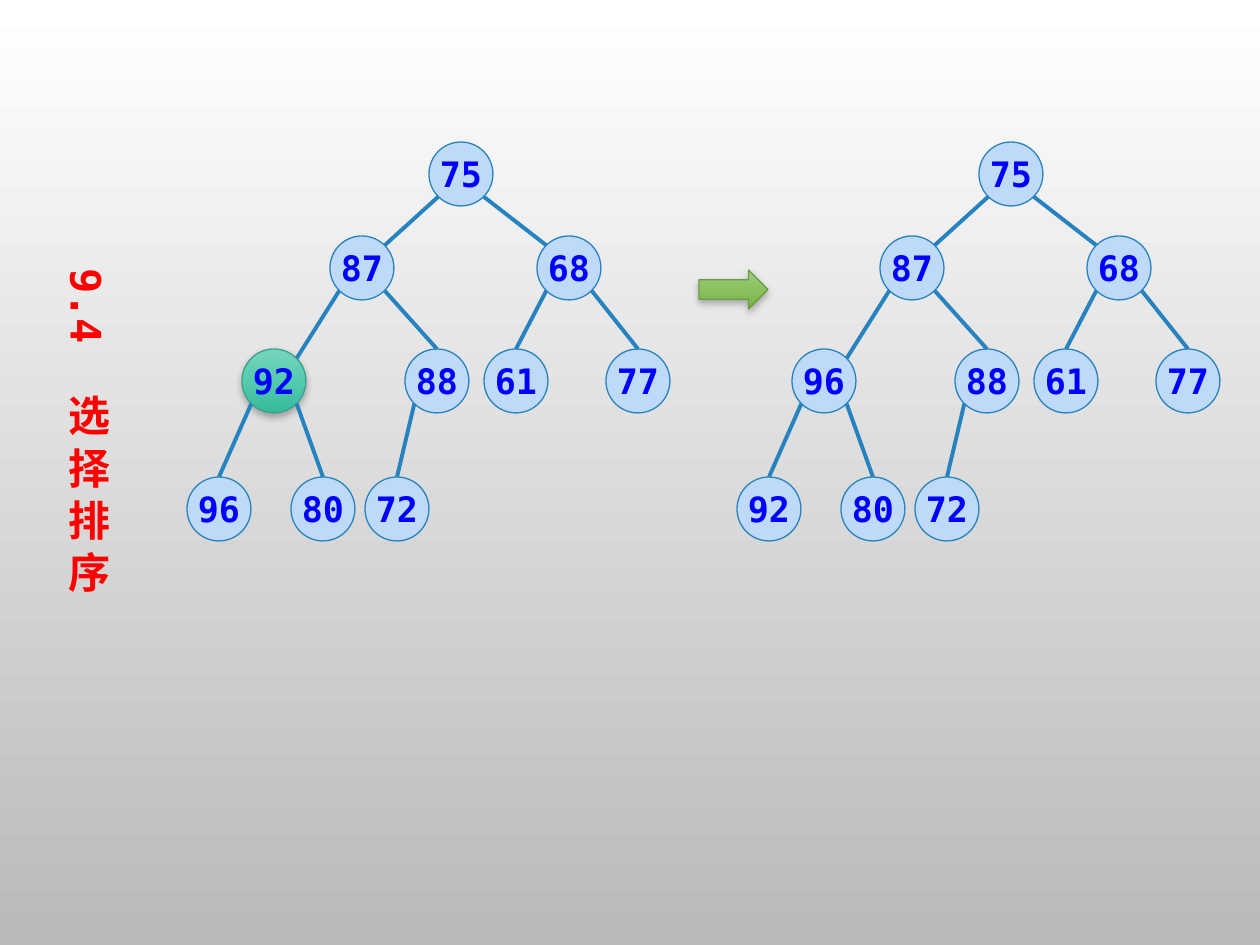
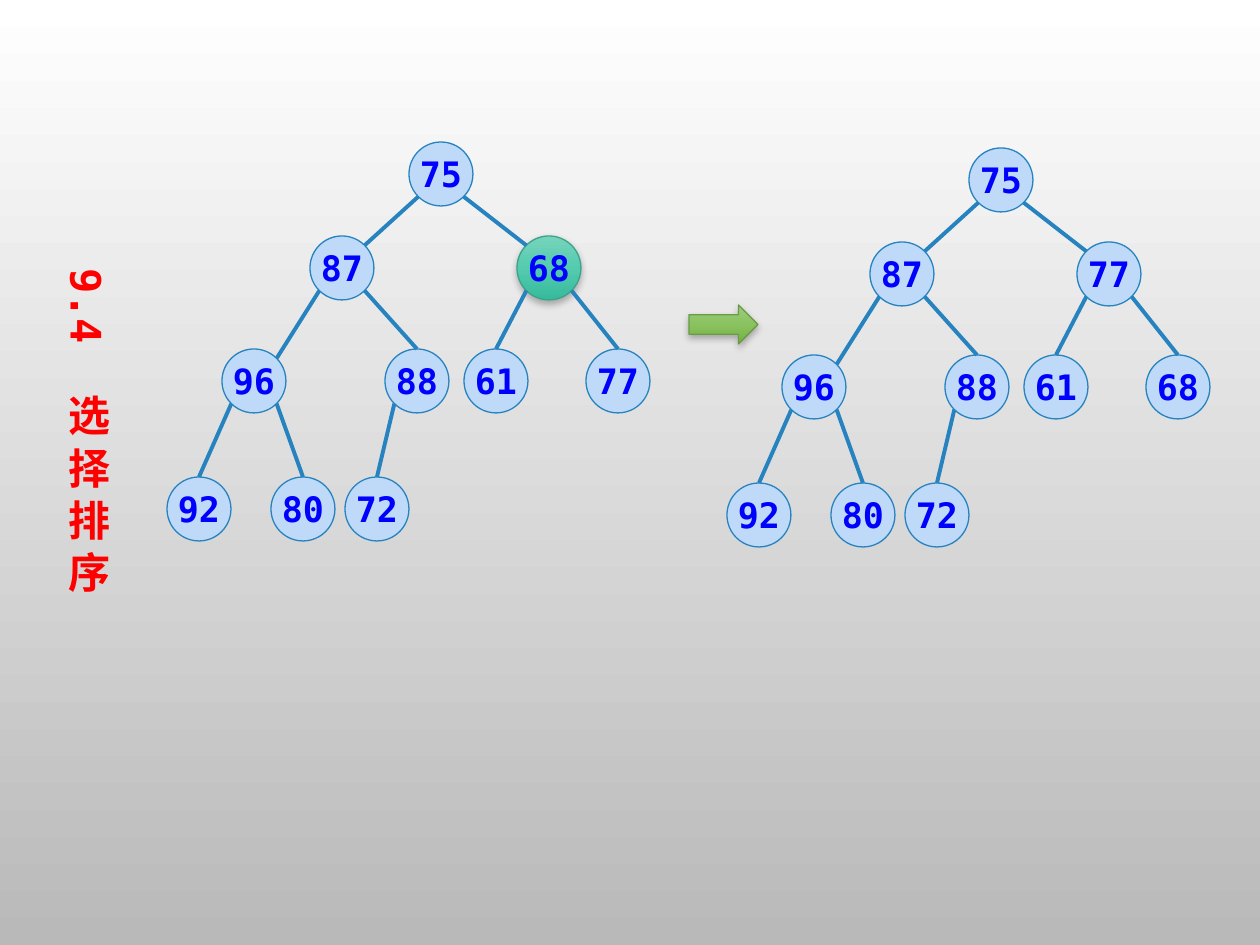
from math import sqrt

from lxml import etree
from pptx import Presentation
from pptx.dml.color import RGBColor
from pptx.enum.shapes import MSO_CONNECTOR, MSO_SHAPE
from pptx.enum.text import MSO_ANCHOR, MSO_AUTO_SIZE, PP_ALIGN
from pptx.oxml.ns import qn
from pptx.util import Emu, Pt

ELLIPSE = MSO_SHAPE.OVAL
ARROW = MSO_SHAPE.RIGHT_ARROW
STRAIGHT = MSO_CONNECTOR.STRAIGHT
MIDDLE = MSO_ANCHOR.MIDDLE
CENTER = PP_ALIGN.CENTER
GROW = MSO_AUTO_SIZE.SHAPE_TO_FIT_TEXT

EMU_PER_PX = 914400 / 126
FONT = "DejaVu Sans Mono"
TITLE = "9.4  选 择 排 序"
BACKGROUND = ((0, "FFFFFF"), (100, "B9B9B9"))
GREEN = ((0, "9ECC7E"), (50, "8AC25F"), (100, "73B142"))
TEAL = ((0, "77D4BC"), (50, "54CBAF"), (100, "36BA9C"))
BLUE = "2683BF"

NODE = 64
RADIUS = NODE / 2
DIAGONAL = RADIUS / sqrt(2)
TOP, UPPER_LEFT, UPPER_RIGHT = (0, -RADIUS), (-DIAGONAL, -DIAGONAL), (DIAGONAL, -DIAGONAL)
LOWER_LEFT, LOWER_RIGHT = (-DIAGONAL, DIAGONAL), (DIAGONAL, DIAGONAL)

NODE_PLACES = [
    (242, 0),
    (143, 94), (350, 94),
    (55, 207), (218, 207), (297, 207), (419, 207),
    (0, 335), (104, 335), (178, 335),
]
UPPER_SITES = {1: UPPER_RIGHT, 2: UPPER_LEFT, 3: UPPER_RIGHT}

SLIDES = [
    {
        "before": ((187, 142), (75, 87, 68, 92, 88, 61, 77, 96, 80, 72), 3),
        "arrow": (699, 270),
        "after": ((737, 142), (75, 87, 68, 96, 88, 61, 77, 92, 80, 72), None),
    },
    {
        "before": ((167, 142), (75, 87, 68, 96, 88, 61, 77, 92, 80, 72), 2),
        "arrow": (689, 305),
        "after": ((727, 148), (75, 87, 77, 96, 88, 61, 68, 92, 80, 72), None),
    },
]


def px(length):
    return Emu(round(length * EMU_PER_PX))


def color(value):
    return RGBColor.from_string(value)


class TreeDeck:
    def __init__(self):
        self.deck = Presentation()
        self.deck.slide_width, self.deck.slide_height = px(1260), px(945)
        self.page = None

    def new_page(self):
        self.page = self.deck.slides.add_slide(self.deck.slide_layouts[6])
        self.gradient(self.page.background.fill, self.page.element, BACKGROUND)

    def gradient(self, fill, element, stops):
        fill.gradient()
        fill.gradient_angle = 270
        stop_list = element.find(".//" + qn("a:gsLst"))
        for stop in list(stop_list):
            stop_list.remove(stop)
        for position, value in stops:
            stop = etree.SubElement(stop_list, qn("a:gs"), pos=str(position * 1000))
            etree.SubElement(stop, qn("a:srgbClr"), val=value)

    def shadow(self, shape):
        effects = shape._element.spPr.find(qn("a:effectLst"))
        shadow = etree.SubElement(effects, qn("a:outerShdw"), blurRad=str(Pt(4)),
                                  dist=str(Pt(2)), dir="5400000", rotWithShape="0")
        tint = etree.SubElement(shadow, qn("a:srgbClr"), val="000000")
        etree.SubElement(tint, qn("a:alpha"), val="28000")

    def shape(self, shapes, kind, place, size, line, fill=None, stops=None):
        shape = shapes.add_shape(kind, *map(px, place + size))
        shape.shadow.inherit = False
        if stops:
            self.gradient(shape.fill, shape._element, stops)
            self.shadow(shape)
        else:
            shape.fill.solid()
            shape.fill.fore_color.rgb = color(fill)
        shape.line.color.rgb = color(line)
        shape.line.width = Pt(0.75)
        return shape

    def text(self, frame, words, size, value):
        para = frame.paragraphs[0]
        para.alignment = CENTER
        span = para.add_run()
        span.text = words
        span.font.name = FONT
        span.font.size = Pt(size)
        span.font.bold = True
        span.font.color.rgb = color(value)
        return para

    def node(self, shapes, place, key, active):
        if active:
            node = self.shape(shapes, ELLIPSE, place, (NODE, NODE), "3CA28B", stops=TEAL)
        else:
            node = self.shape(shapes, ELLIPSE, place, (NODE, NODE), BLUE, fill="BFDAF9")
        frame = node.text_frame
        frame.margin_left = frame.margin_right = 0
        frame.vertical_anchor = MIDDLE
        self.text(frame, str(key), 20, "0000FF")
        return node

    def edge(self, shapes, start, end, child=None):
        edge = shapes.add_connector(STRAIGHT, *map(px, start + end))
        if child is not None:
            edge.end_connect(child, 0)
        edge.line.color.rgb = color(BLUE)
        edge.line.width = Pt(2.25)
        etree.SubElement(edge._element.spPr, qn("a:effectLst"))

    def tree(self, origin, keys, active):
        shapes = self.page.shapes.add_group_shape().shapes
        places = [(origin[0] + x, origin[1] + y) for x, y in NODE_PLACES]
        nodes = [self.node(shapes, place, key, index == active)
                 for index, (place, key) in enumerate(zip(places, keys))]

        def site(index, offset):
            return tuple(side + RADIUS + shift for side, shift in zip(places[index], offset))

        for child in range(1, len(nodes)):
            start = site((child - 1) // 2, LOWER_LEFT if child % 2 else LOWER_RIGHT)
            end = site(child, UPPER_SITES.get(child, TOP))
            self.edge(shapes, start, end, None if child in UPPER_SITES else nodes[child])

    def arrow(self, place):
        self.shape(self.page.shapes, ARROW, place, (69, 39), "6B9B46", stops=GREEN)

    def title(self):
        box = self.page.shapes.add_textbox(px(42), px(256), px(77), px(403))
        frame = box.text_frame
        frame.word_wrap = True
        frame.auto_size = GROW
        frame._txBody.bodyPr.set("vert", "eaVert")
        self.text(frame, TITLE, 24, "FF0000").space_before = Pt(12)


def main():
    trees = TreeDeck()
    for step in SLIDES:
        trees.new_page()
        trees.tree(*step["before"])
        trees.arrow(step["arrow"])
        trees.tree(*step["after"])
        trees.title()
    trees.deck.save("out.pptx")


if __name__ == "__main__":
    main()
